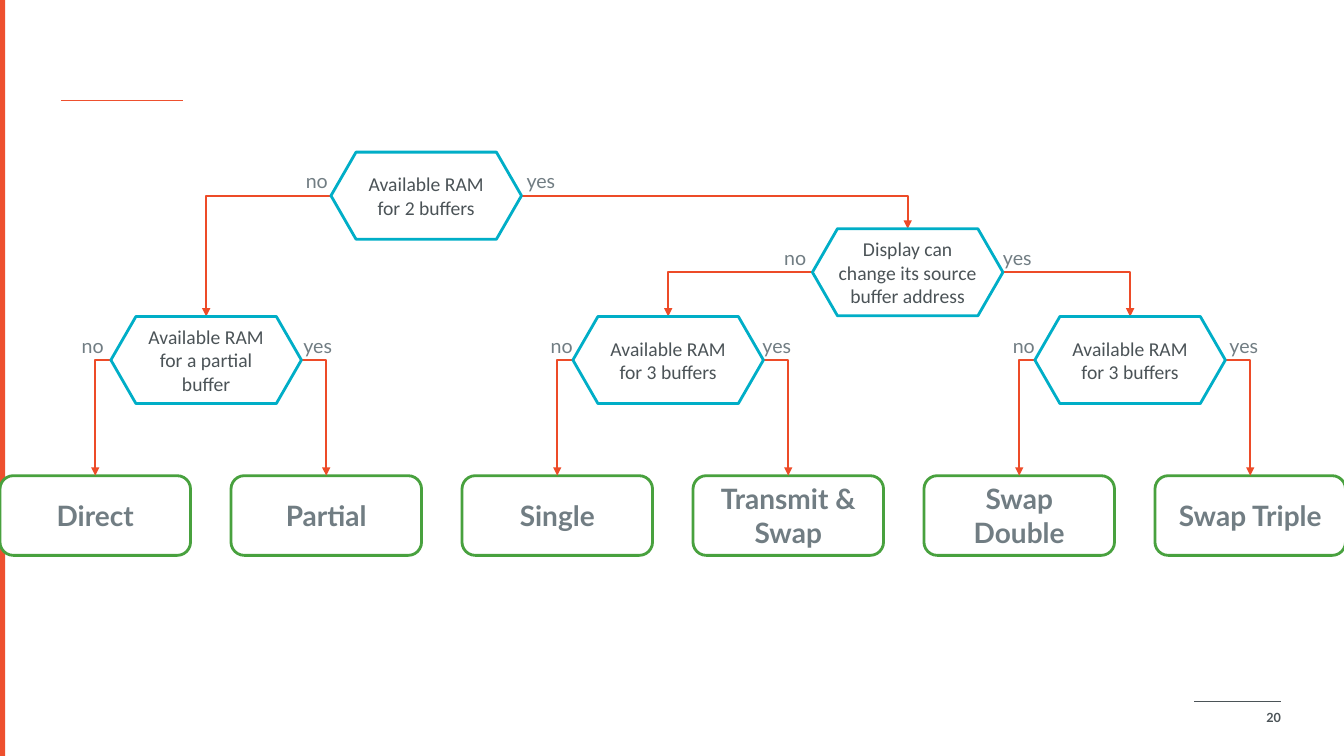
from dataclasses import dataclass

from lxml import etree
from pptx import Presentation
from pptx.dml.color import RGBColor
from pptx.enum import shapes, text
from pptx.oxml import ns
from pptx.util import Pt


@dataclass(frozen=True)
class Theme:
    accent: str = "EE502E"
    arrow: str = "ED4B28"
    question: str = "00AEC7"
    outcome: str = "48A13E"
    paper: str = "FFFFFF"
    dark: str = "4B5357"
    grey: str = "717D83"
    heading_font: str = "Lato"
    body_font: str = "Calibri"
    outcome_size: float = 20
    body_size: float = 14
    page_size: float = 9


T = Theme()
SLIDE_W, SLIDE_H = 960, 540
BOX_W, QUESTION_H, OUTCOME_H = 136.1, 62.2, 56.9
PITCH, OUTCOME_Y, LOW_Y = 165, 339.8, 226.1
LABEL_W, LABEL_H, LABEL_DY = 23, 18.7, 12.2

OUTCOMES = ["Direct", "Partial", "Single", "Transmit & Swap", "Swap Double", "Swap Triple"]
RAM = "Available RAM"
# lines, left, top, offsets of the "no" and "yes" labels from the left and right tips
ROOT = ([RAM, "for 2 buffers"], 236.4, 108.7, -18, 3.6)
DISPLAY = (["Display can", "change its source", "buffer address"], 580.3, 163.4, -20.2, 0)
LOW = [
    ([RAM, "for a partial buffer"], 79.2, LOW_Y, -20.9, 1.4),
    ([RAM, "for 3 buffers"], 409.2, LOW_Y, -15.8, -0.7),
    ([RAM, "for 3 buffers"], 739.2, LOW_Y, -15.8, 2.9),
]


def rgb(value):
    return RGBColor.from_string(value)


def write(s, lines, *, size, font, color, bold=False, align=text.PP_ALIGN.LEFT,
          anchor=text.MSO_ANCHOR.MIDDLE, inset=0, after=0):
    tf = s.text_frame
    tf.word_wrap = True
    tf.vertical_anchor = anchor
    tf.margin_left = tf.margin_right = Pt(inset)
    tf.margin_top = tf.margin_bottom = Pt(inset / 2)
    for i, line in enumerate(lines):
        p = tf.add_paragraph() if i else tf.paragraphs[0]
        p.alignment = align
        p.space_after = Pt(after)
        r = p.add_run()
        r.text = line
        r.font.size, r.font.name, r.font.bold = Pt(size), font, bold
        r.font.color.rgb = rgb(color)


def add_box(slide, kind, x, y, w, h, fill, line=None):
    s = slide.shapes.add_shape(kind, Pt(x), Pt(y), Pt(w), Pt(h))
    s.shadow.inherit = False
    s.fill.solid()
    s.fill.fore_color.rgb = rgb(fill)
    if line:
        s.line.color.rgb = rgb(line)
        s.line.width = Pt(2)
    else:
        s.line.fill.background()
    return s


def add_text(slide, x, y, w, h, line, **fmt):
    write(slide.shapes.add_textbox(Pt(x), Pt(y), Pt(w), Pt(h)), [line], **fmt)


def add_line(slide, x1, y1, x2, y2, color, width, kind=shapes.MSO_CONNECTOR.STRAIGHT):
    c = slide.shapes.add_connector(kind, Pt(x1), Pt(y1), Pt(x2), Pt(y2))
    c.line.color.rgb = rgb(color)
    c.line.width = Pt(width)
    etree.SubElement(c._element.spPr, ns.qn("a:effectLst"))
    return c


def add_branch(slide, x1, y1, x2, y2):
    """Draw an arrow that runs sideways from the first point, then down to the second."""
    c = add_line(slide, min(x1, x2), y1, max(x1, x2), y2, T.arrow, 1.5,
                 shapes.MSO_CONNECTOR.ELBOW)
    pr = c._element.spPr
    pr.find(ns.qn("a:prstGeom")).set("prst", "bentConnector2")
    if x2 < x1:
        xfrm = pr.find(ns.qn("a:xfrm"))
        xfrm.set("rot", "10800000")
        xfrm.set("flipV", "1")
    etree.SubElement(pr.find(ns.qn("a:ln")), ns.qn("a:tailEnd"), type="triangle")


def add_question(slide, question, no_target, yes_target):
    """Draw a question with its labels and its arrows to two (centre, top) targets."""
    lines, x, y, no_dx, yes_dx = question
    right, middle = x + BOX_W, y + QUESTION_H / 2
    add_branch(slide, x, middle, *no_target)
    add_branch(slide, right, middle, *yes_target)
    s = add_box(slide, shapes.MSO_SHAPE.LEFT_RIGHT_ARROW, x, y, BOX_W, QUESTION_H,
                T.paper, T.question)
    s.adjustments[0], s.adjustments[1] = 1, 0.288
    write(s, lines, size=T.body_size, font=T.body_font, color=T.dark,
          align=text.PP_ALIGN.CENTER)
    for label, left in (("no", x + no_dx), ("yes", right + yes_dx)):
        add_text(slide, left, y + LABEL_DY, LABEL_W, LABEL_H, label, size=T.body_size,
                 font=T.heading_font, color=T.grey, anchor=text.MSO_ANCHOR.TOP, after=6)


def add_outcomes(slide, x, y):
    """Draw the row of outcomes and return the top centre of each."""
    for i, name in enumerate(OUTCOMES):
        s = add_box(slide, shapes.MSO_SHAPE.ROUNDED_RECTANGLE, x + i * PITCH, y,
                    BOX_W, OUTCOME_H, T.paper, T.outcome)
        write(s, [name], size=T.outcome_size, font=T.heading_font, color=T.grey,
              bold=True, align=text.PP_ALIGN.CENTER, inset=7.2)
    return [(x + i * PITCH + BOX_W / 2, y) for i in range(len(OUTCOMES))]


def add_frame(slide, w, h):
    """Draw the side bar, the two rules and the page number."""
    add_box(slide, shapes.MSO_SHAPE.RECTANGLE, 0, 0, 3.6, h, T.accent)
    add_line(slide, 43.4, 71.5, 130.4, 71.5, T.accent, 0.75)
    add_line(slide, w - 106.8, h - 39, w - 45, h - 39, T.dark, 0.75)
    add_text(slide, w - 81, h - 31.7, 36, 8.6, "20", size=T.page_size,
             font=T.heading_font, color=T.dark, bold=True, align=text.PP_ALIGN.RIGHT)


def top_centre(question):
    return question[1] + BOX_W / 2, question[2]


def add_decision_tree(slide):
    ends = add_outcomes(slide, 0, OUTCOME_Y)
    partial, single, swap = map(top_centre, LOW)
    add_question(slide, ROOT, partial, top_centre(DISPLAY))
    add_question(slide, DISPLAY, single, swap)
    for i, question in enumerate(LOW):
        add_question(slide, question, *ends[2 * i:2 * i + 2])


def main():
    prs = Presentation()
    prs.slide_width, prs.slide_height = Pt(SLIDE_W), Pt(SLIDE_H)
    slide = prs.slides.add_slide(prs.slide_layouts[6])
    add_frame(slide, SLIDE_W, SLIDE_H)
    add_decision_tree(slide)
    prs.save("out.pptx")


if __name__ == "__main__":
    main()
